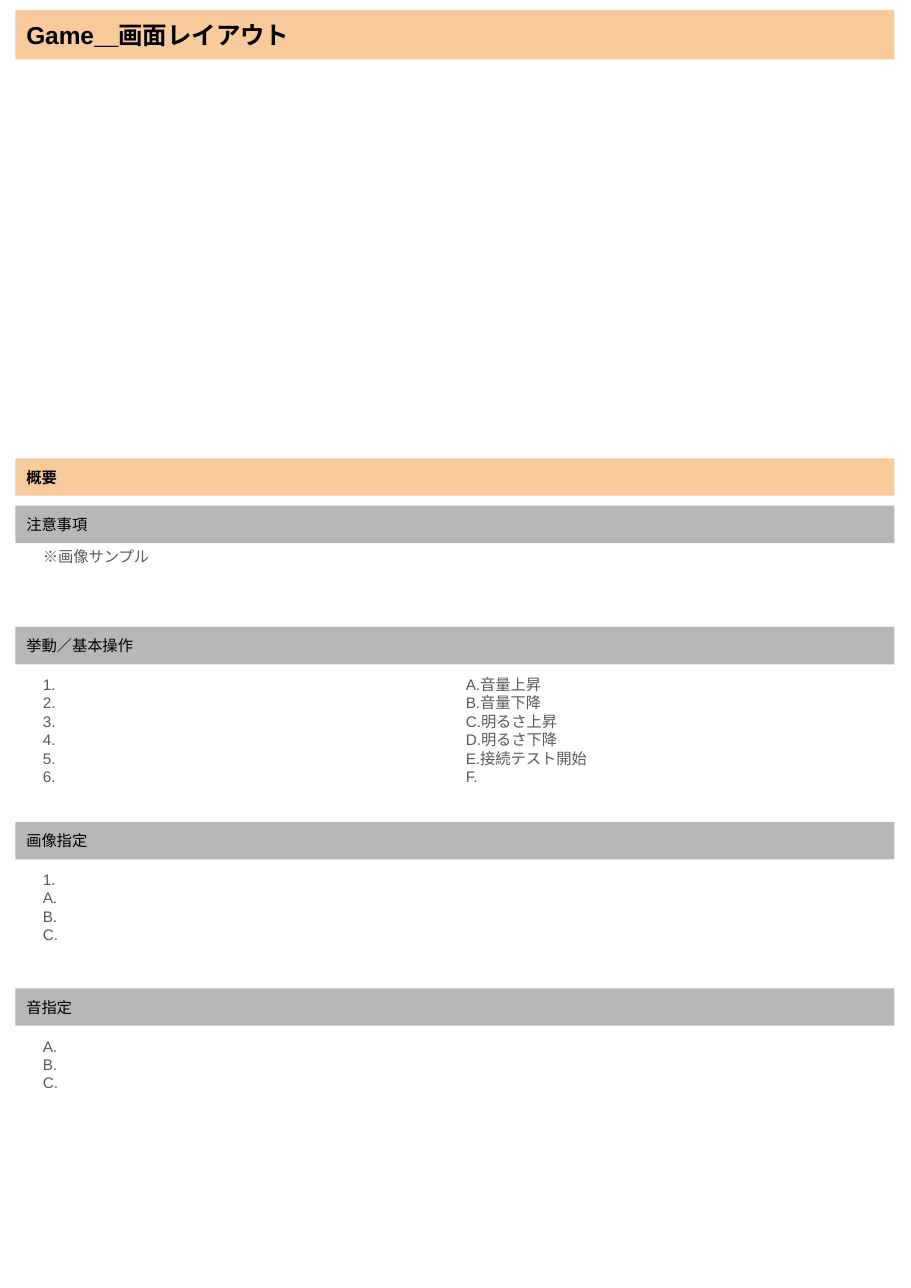
from dataclasses import dataclass

from pptx import Presentation
from pptx.dml.color import RGBColor as RGB
from pptx.enum.shapes import MSO_SHAPE as SHAPE
from pptx.enum.text import MSO_ANCHOR as ANCHOR, PP_ALIGN as ALIGN
from pptx.util import Inches, Pt


@dataclass(frozen=True)
class Theme:
    font: str = "Arial"
    accent: str = "F9CB9C"
    section: str = "B7B7B7"
    heading: str = "000000"
    body: str = "595959"
    title_size: int = 16
    text_size: int = 10
    leading: int = 12


def write(tf, text, *, font, size, color, bold=False, anchor=ANCHOR.TOP, leading=None):
    tf.word_wrap = True
    tf.vertical_anchor = anchor
    tf.margin_left = tf.margin_right = tf.margin_top = tf.margin_bottom = Inches(0.1)
    for i, line in enumerate(text.split("\n")):
        p = tf.add_paragraph() if i else tf.paragraphs[0]
        p.alignment = ALIGN.LEFT
        if leading:
            p.line_spacing = Pt(leading)
        r = p.add_run()
        r.text = line
        r.font.name = font
        r.font.size = Pt(size)
        r.font.bold = bold
        r.font.color.rgb = RGB.from_string(color)


class LayoutSheet:
    """Draws heading bars and notes on one slide in a shared style."""

    def __init__(self, slide, theme):
        self.slide = slide
        self.theme = theme

    def bar(self, text, top, height=0.34, fill=None, size=None, bold=False):
        t = self.theme
        s = self.slide.shapes.add_shape(
            SHAPE.RECTANGLE, Inches(0.14), Inches(top), Inches(7.98), Inches(height))
        s.shadow.inherit = False
        s.fill.solid()
        s.fill.fore_color.rgb = RGB.from_string(fill or t.section)
        s.line.fill.background()
        write(s.text_frame, text, font=t.font, size=size or t.text_size,
              color=t.heading, bold=bold, anchor=ANCHOR.MIDDLE)

    def notes(self, text, top, height, left=0.29, width=7.69):
        t = self.theme
        s = self.slide.shapes.add_textbox(
            Inches(left), Inches(top), Inches(width), Inches(height))
        write(s.text_frame, text, font=t.font, size=t.text_size,
              color=t.body, leading=t.leading)


def main():
    prs = Presentation()
    prs.slide_width, prs.slide_height = Inches(8.27), Inches(11.69)
    theme = Theme()
    sheet = LayoutSheet(prs.slides.add_slide(prs.slide_layouts[6]), theme)

    sheet.bar("Game＿画面レイアウト", 0.09, height=0.45,
              fill=theme.accent, size=theme.title_size, bold=True)
    sheet.bar("概要", 4.16, fill=theme.accent, bold=True)

    sections = [("注意事項", 4.59), ("挙動／基本操作", 5.69),
                ("画像指定", 7.46), ("音指定", 8.97)]
    for text, top in sections:
        sheet.bar(text, top)

    sheet.notes("※画像サンプル", 4.88, 1.02)
    sheet.notes("1.\n2.\n3.\n4.\n5.\n6.", 6.03, 1.17, width=3.85)
    sheet.notes("A.音量上昇\nB.音量下降\nC.明るさ上昇\nD.明るさ下降\nE.接続テスト開始\nF.",
                6.03, 1.17, left=4.13, width=3.85)
    sheet.notes("1.\nA.\nB.\nC.", 7.8, 1.17)
    sheet.notes("A.\nB.\nC.", 9.31, 0.89)

    prs.save("out.pptx")


if __name__ == "__main__":
    main()
